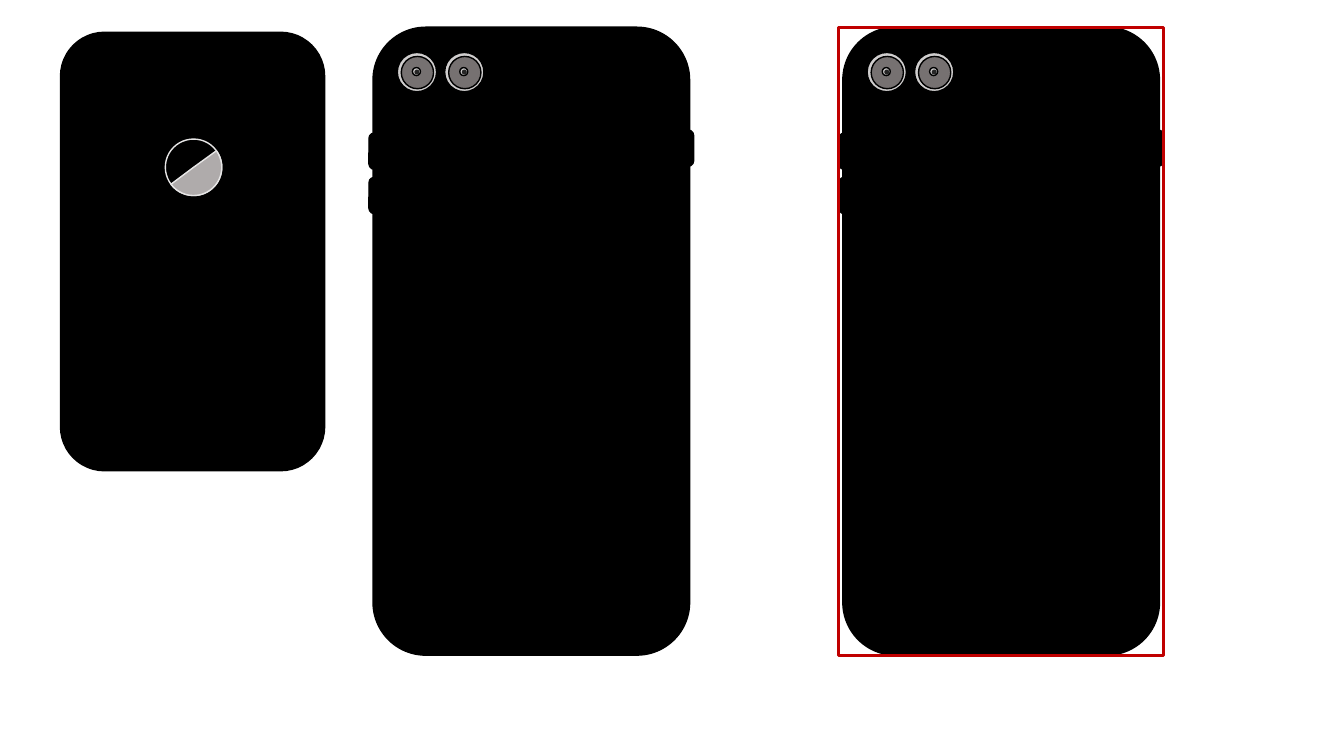
import pptx
import pptx.dml.color
import pptx.enum.shapes
import pptx.util

Inches = pptx.util.Inches
MSO = pptx.enum.shapes.MSO_SHAPE
BLACK = "000000"
SILVER = "E7E6E6"


def color(value):
    return pptx.dml.color.RGBColor.from_string(value)


def add_part(group, kind, box, fill=BLACK, line=BLACK, width=1, adj=(), rotation=0):
    sp = group.shapes.add_shape(kind, *[Inches(v) for v in box])
    sp.shadow.inherit = False
    sp.rotation = rotation
    for i, value in enumerate(adj):
        sp.adjustments[i] = value
    if fill:
        sp.fill.solid()
        sp.fill.fore_color.rgb = color(fill)
    else:
        sp.fill.background()
    if line:
        sp.line.color.rgb = color(line)
        sp.line.width = pptx.util.Pt(width)
    else:
        sp.line.fill.background()
    return sp


def add_case(s):
    group = s.shapes.add_group_shape()
    badge = (1.64, 1.38, 0.56, 0.56)
    add_part(group, MSO.ROUNDED_RECTANGLE, (0.6, 0.32, 2.62, 4.35))
    add_part(group, MSO.OVAL, badge, line=SILVER)
    add_part(group, MSO.PIE, badge, "AFABAB", SILVER, adj=(0, 107.45), rotation=324.1)


def add_phone(s, left):
    group = s.shapes.add_group_shape()
    add_part(group, MSO.ROUNDED_RECTANGLE, (left, 0.27, 3.14, 6.23))
    for dx, top in ((-0.04, 1.32), (3.05, 1.29), (-0.04, 1.76)):
        add_part(group, MSO.ROUNDED_RECTANGLE, (left + dx, top, 0.13, 0.36), adj=(0.411,))
    rings = (
        (0.24, 0.52, 0.39, "D0CECE", BLACK),
        (0.28, 0.56, 0.32, "767171", BLACK),
        (0.39, 0.67, 0.08, "D0CECE", BLACK),
        (0.41, 0.69, 0.05, "262626", None),
    )
    for dx, top, size, fill, line in rings:
        for lens in range(2):
            box = (left + dx + lens * 0.47, top, size, size)
            add_part(group, MSO.OVAL, box, fill, line)
    return group


def main():
    prs = pptx.Presentation()
    prs.slide_width = Inches(13.33)
    prs.slide_height = Inches(7.5)
    s = prs.slides.add_slide(prs.slide_layouts[6])
    add_case(s)
    add_phone(s, 3.7)
    framed = add_phone(s, 8.36)
    add_part(framed, MSO.RECTANGLE, (8.32, 0.27, 3.22, 6.23), None, "C00000", 2.25)
    prs.save("out.pptx")


if __name__ == "__main__":
    main()
